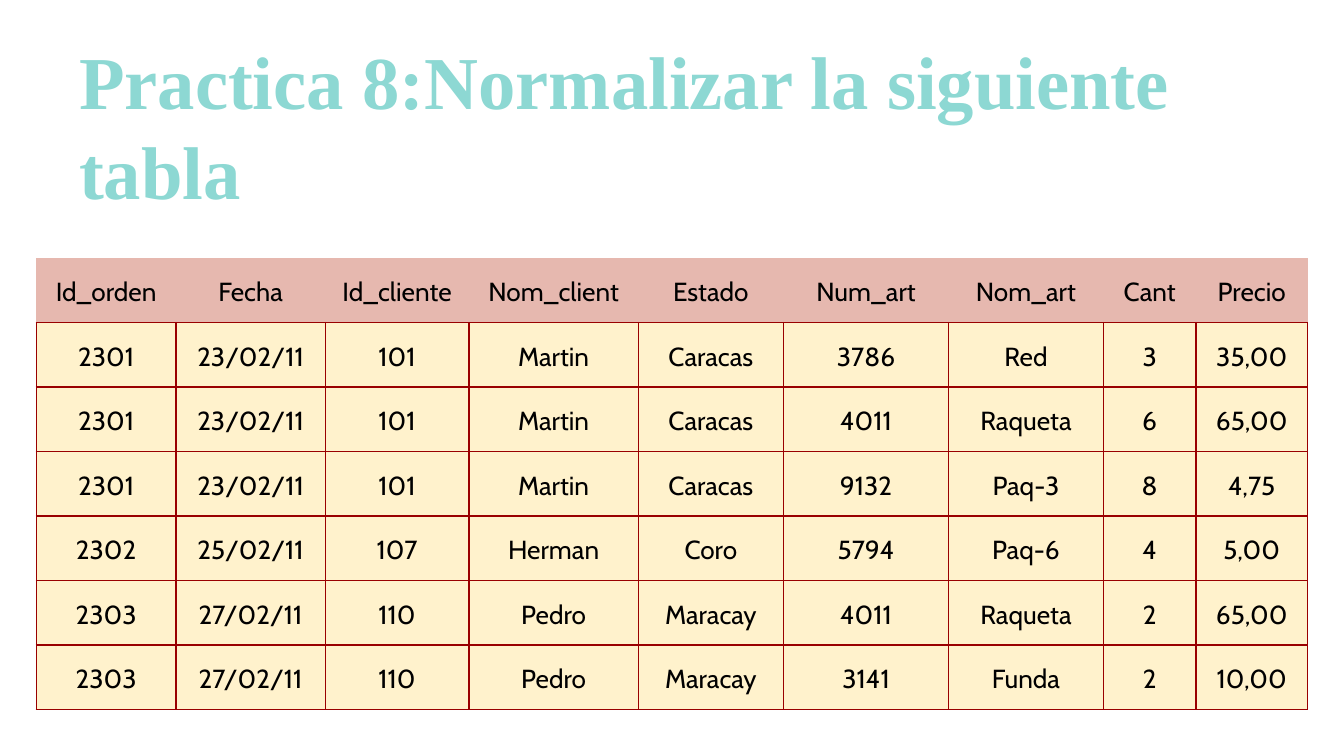
from dataclasses import dataclass

from lxml.etree import SubElement
from pptx import Presentation
from pptx.dml.color import RGBColor
from pptx.enum.text import MSO_ANCHOR, PP_ALIGN
from pptx.oxml.ns import qn
from pptx.util import Inches, Pt


@dataclass(frozen=True)
class Theme:
    title_font: str = "Times New Roman"
    body_font: str = "Cabin"
    title_size: int = 40
    body_size: int = 14
    title_color: str = "8DD8D3"
    text_color: str = "000000"
    header_fill: str = "E6B8AF"
    body_fill: str = "FFF2CC"
    border_color: str = "990000"
    border_width: float = 0.75


@dataclass(frozen=True)
class Column:
    heading: str
    width: float


THEME = Theme()
MARGIN = Inches(0.1)
ROW_HEIGHT = 0.48
COLUMNS = [
    Column("Id_orden", 1.04),
    Column("Fecha", 1.11),
    Column("Id_cliente", 1.07),
    Column("Nom_client", 1.26),
    Column("Estado", 1.08),
    Column("Num_art", 1.23),
    Column("Nom_art", 1.15),
    Column("Cant", 0.69),
    Column("Precio", 0.83),
]
ORDERS = [
    ("2301", "23/02/11", "101", "Martin", "Caracas", "3786", "Red", "3", "35,00"),
    ("2301", "23/02/11", "101", "Martin", "Caracas", "4011", "Raqueta", "6", "65,00"),
    ("2301", "23/02/11", "101", "Martin", "Caracas", "9132", "Paq-3", "8", "4,75"),
    ("2302", "25/02/11", "107", "Herman", "Coro", "5794", "Paq-6", "4", "5,00"),
    ("2303", "27/02/11", "110", "Pedro", "Maracay", "4011", "Raqueta", "2", "65,00"),
    ("2303", "27/02/11", "110", "Pedro", "Maracay", "3141", "Funda", "2", "10,00"),
]


def set_margins(target) -> None:
    target.margin_left = target.margin_right = MARGIN
    target.margin_top = target.margin_bottom = MARGIN


def style_font(paragraph, name: str, size: int, color: str, bold: bool) -> None:
    font = paragraph.font
    font.name = name
    font.size = Pt(size)
    font.bold = bold
    font.color.rgb = RGBColor.from_string(color)


def add_title(page, text: str) -> None:
    box = page.shapes.add_textbox(Inches(0.49), Inches(0.16), Inches(9), Inches(0.7))
    frame = box.text_frame
    frame.word_wrap = True
    set_margins(frame)
    paragraph = frame.paragraphs[0]
    paragraph.text = text
    style_font(paragraph, THEME.title_font, THEME.title_size, THEME.title_color, True)


def set_borders(cell, visible: str) -> None:
    properties = cell._tc.get_or_add_tcPr()
    for position, side in enumerate("LRTB"):
        line = properties.makeelement(qn(f"a:ln{side}"), {"w": str(Pt(THEME.border_width))})
        if side in visible:
            fill = SubElement(line, qn("a:solidFill"))
            SubElement(fill, qn("a:srgbClr"), val=THEME.border_color)
        else:
            SubElement(line, qn("a:noFill"))
        properties.insert(position, line)


def fill_cell(cell, text: str, is_header: bool) -> None:
    cell.fill.solid()
    color = THEME.header_fill if is_header else THEME.body_fill
    cell.fill.fore_color.rgb = RGBColor.from_string(color)
    set_borders(cell, "B" if is_header else "LRTB")
    set_margins(cell)
    cell.vertical_anchor = MSO_ANCHOR.TOP
    paragraph = cell.text_frame.paragraphs[0]
    paragraph.text = text
    paragraph.alignment = PP_ALIGN.CENTER
    paragraph.line_spacing = 1.15
    style_font(paragraph, THEME.body_font, THEME.body_size, THEME.text_color, False)


def add_orders_table(page) -> None:
    rows = [tuple(column.heading for column in COLUMNS), *ORDERS]
    width = sum(column.width for column in COLUMNS)
    table = page.shapes.add_table(
        len(rows), len(COLUMNS), Inches(0.27), Inches(1.92),
        Inches(width), Inches(ROW_HEIGHT * len(rows)),
    ).table
    table.first_row = False
    table.horz_banding = False
    for index, column in enumerate(COLUMNS):
        table.columns[index].width = Inches(column.width)
    for row_index, values in enumerate(rows):
        table.rows[row_index].height = Inches(ROW_HEIGHT)
        for column_index, value in enumerate(values):
            fill_cell(table.cell(row_index, column_index), value, row_index == 0)


def main() -> None:
    deck = Presentation()
    deck.slide_width = Inches(10)
    deck.slide_height = Inches(10 * 9 / 16)
    page = deck.slides.add_slide(deck.slide_layouts[6])
    add_orders_table(page)
    add_title(page, "Practica 8:Normalizar la siguiente tabla")
    deck.save("out.pptx")


if __name__ == "__main__":
    main()
